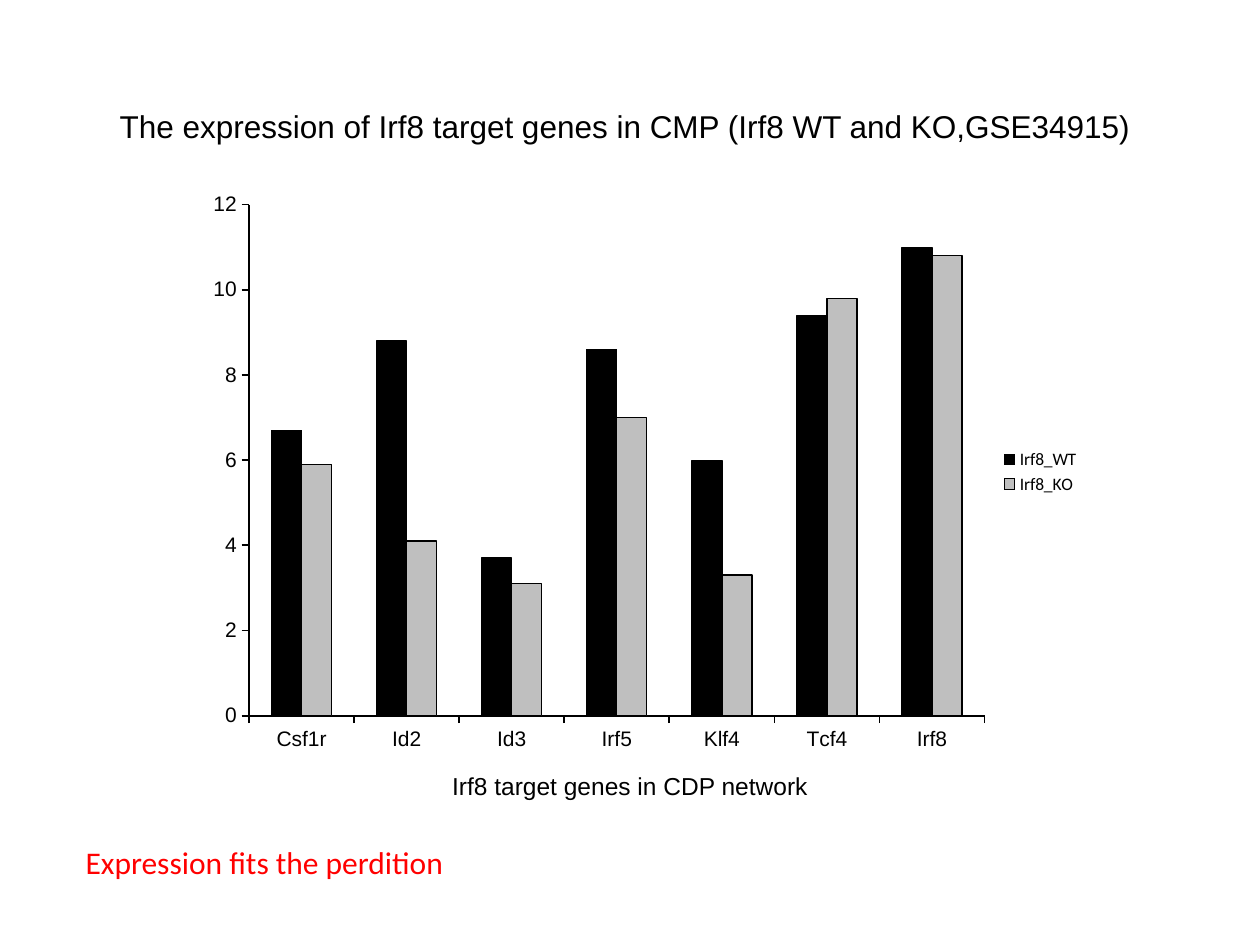
import pptx
import pptx.chart.data
import pptx.dml.color
import pptx.enum.chart
import pptx.enum.text
import pptx.oxml
import pptx.oxml.ns
import pptx.util

Pt = pptx.util.Pt
COLORS = {"black": "000000", "gray": "BFBFBF", "red": "FF0000"}
TITLE = ("The expression of Irf8 target genes in CMP (Irf8 WT and KO,GSE34915)",
         (61.2, 57.6, 597.6, 28.8), 18, "Arial", "black")
LABELS = [
    ("Irf8 target genes in CDP network", (251.3, 437, 220.3, 24.5), 14, "Arial", "black"),
    ("Expression fits the perdition", (41.8, 478, 228.2, 28.8), 18, "Calibri", "red"),
]
GENES = ["Csf1r", "Id2", "Id3", "Irf5", "Klf4", "Tcf4", "Irf8"]
SERIES = [
    ("Irf8_WT", "black", [6.7, 8.8, 3.7, 8.6, 6, 9.4, 11]),
    ("Irf8_KO", "gray", [5.9, 4.1, 3.1, 7, 3.3, 9.8, 10.8]),
]
CHART_BOX = (111.6, 103.7, 512.6, 331.9)
PLOT_LAYOUT = {"x": 0.06, "y": 0.04, "w": 0.82, "h": 0.88}


def color(name):
    return pptx.dml.color.RGBColor.from_string(COLORS[name])


def style_font(font, size, family, color_name):
    font.size, font.name, font.bold = Pt(size), family, False
    font.color.rgb = color(color_name)


def style_line(line, width):
    line.color.rgb = color("black")
    line.width = Pt(width)


def write_label(shape, label):
    text, box, size, family, color_name = label
    shape.left, shape.top, shape.width, shape.height = map(Pt, box)
    frame = shape.text_frame
    frame.text = text
    frame.word_wrap = False
    frame.auto_size = pptx.enum.text.MSO_AUTO_SIZE.SHAPE_TO_FIT_TEXT
    frame.vertical_anchor = pptx.enum.text.MSO_ANCHOR.TOP
    paragraph = frame.paragraphs[0]
    paragraph.alignment = pptx.enum.text.PP_ALIGN.LEFT
    style_font(paragraph.font, size, family, color_name)


def place_plot(chart):
    parts = {"layoutTarget": "inner", "xMode": "edge", "yMode": "edge", **PLOT_LAYOUT}
    items = "".join(f'<c:{name} val="{value}"/>' for name, value in parts.items())
    namespace = pptx.oxml.ns.nsdecls("c")
    layout = pptx.oxml.parse_xml(
        f"<c:layout {namespace}><c:manualLayout>{items}</c:manualLayout></c:layout>")
    plot_area = chart.plots[0]._element.getparent()
    for old_layout in plot_area.findall(pptx.oxml.ns.qn("c:layout")):
        plot_area.remove(old_layout)
    plot_area.insert(0, layout)


def add_expression_chart(slide):
    data = pptx.chart.data.CategoryChartData()
    data.categories = GENES
    for name, _, values in SERIES:
        data.add_series(name, values)
    chart = slide.shapes.add_chart(
        pptx.enum.chart.XL_CHART_TYPE.COLUMN_CLUSTERED, *map(Pt, CHART_BOX), data).chart
    chart.has_title = False
    style_font(chart.font, 10, "Calibri", "black")
    chart.has_legend = True
    chart.legend.position = pptx.enum.chart.XL_LEGEND_POSITION.RIGHT
    chart.legend.include_in_layout = False

    for axis in (chart.category_axis, chart.value_axis):
        axis.has_major_gridlines = False
        axis.major_tick_mark = pptx.enum.chart.XL_TICK_MARK.OUTSIDE
        axis.minor_tick_mark = pptx.enum.chart.XL_TICK_MARK.NONE
        style_font(axis.tick_labels.font, 12, "Arial", "black")
        style_line(axis.format.line, 1)
    value_axis = chart.value_axis
    value_axis.minimum_scale, value_axis.maximum_scale, value_axis.major_unit = 0, 12, 2
    value_axis.tick_labels.number_format = "0"
    value_axis.tick_labels.number_format_is_linked = False

    plot = chart.plots[0]
    plot.gap_width, plot.overlap, plot.vary_by_categories = 150, 0, False
    for series, (_, color_name, _) in zip(plot.series, SERIES):
        series.format.fill.solid()
        series.format.fill.fore_color.rgb = color(color_name)
        style_line(series.format.line, 0.75)
    place_plot(chart)


def main():
    """Build the slide on Irf8 target gene expression."""
    presentation = pptx.Presentation()
    presentation.slide_width, presentation.slide_height = Pt(720), Pt(540)
    slide = presentation.slides.add_slide(presentation.slide_layouts[5])
    write_label(slide.shapes.title, TITLE)
    add_expression_chart(slide)
    for label in LABELS:
        write_label(slide.shapes.add_textbox(*map(Pt, label[1])), label)
    presentation.save("out.pptx")


if __name__ == "__main__":
    main()
